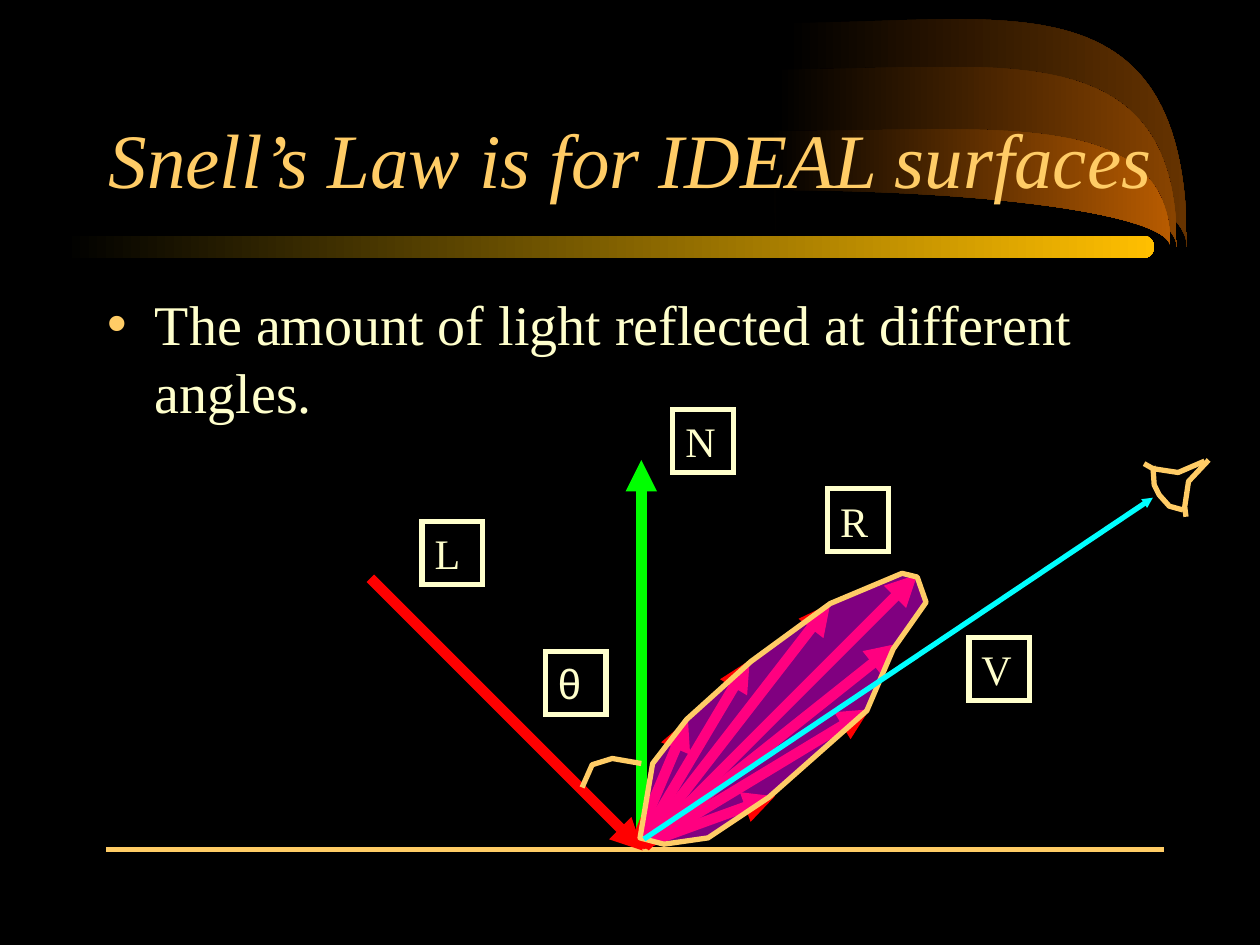
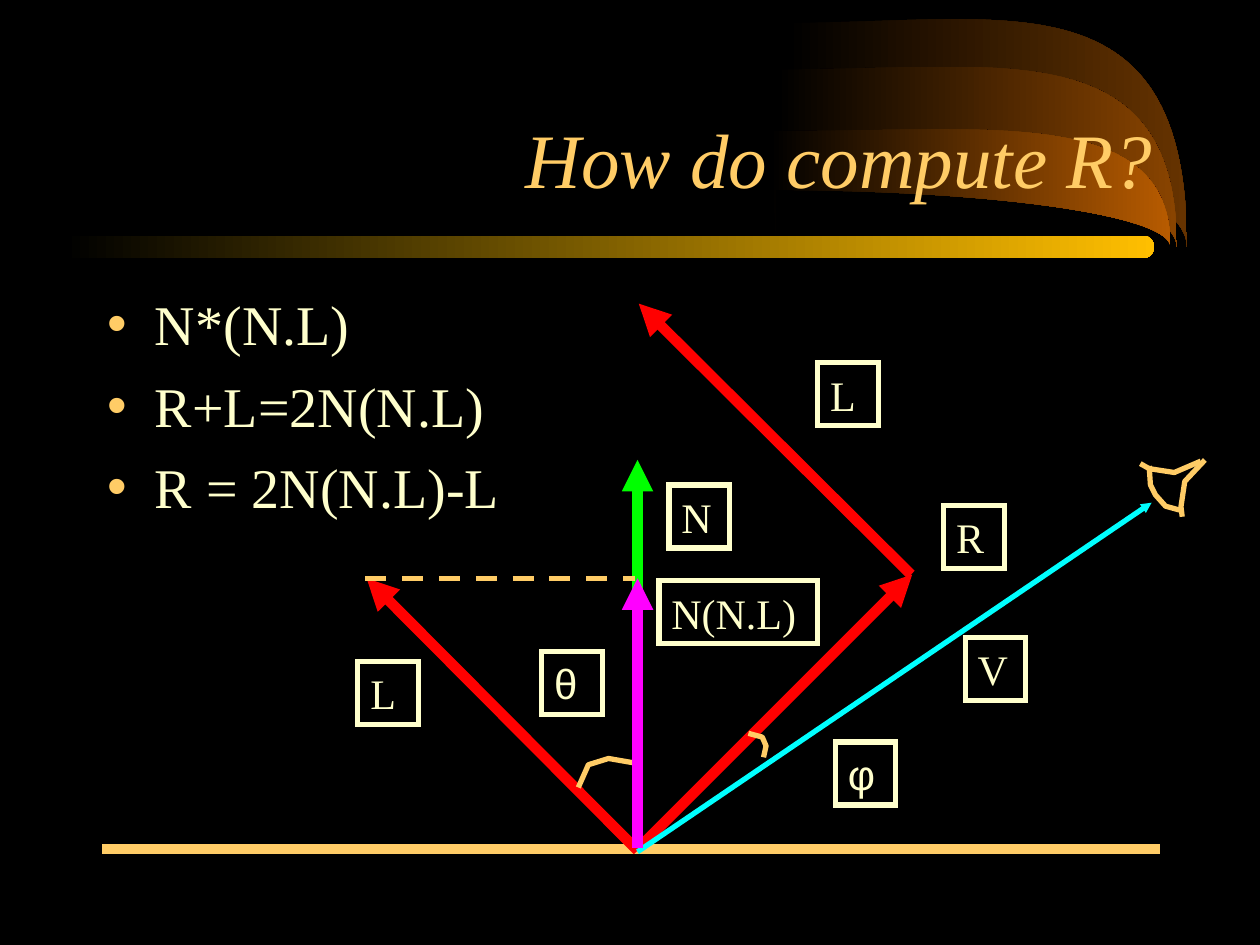
from dataclasses import dataclass
from math import cos, radians, sin

from pptx import Presentation
from pptx.dml.color import RGBColor
from pptx.enum.dml import MSO_LINE_DASH_STYLE as Dash
from pptx.enum.shapes import MSO_CONNECTOR as Connector, MSO_SHAPE as Preset
from pptx.enum.text import MSO_ANCHOR as Anchor, MSO_AUTO_SIZE as AutoSize, PP_ALIGN as Align
from pptx.oxml.ns import qn
from pptx.util import Pt
from lxml.etree import SubElement

PX = 9144


@dataclass(frozen=True)
class Theme:
    black: str = "000000"
    gold: str = "FFCC66"
    cream: str = "FFFFCC"
    band: str = "FFBF00"
    red: str = "FF0000"
    green: str = "00FF00"
    cyan: str = "00FFFF"
    magenta: str = "FF00FF"
    serif: str = "Times New Roman"
    sans: str = "Arial"
    title_pt: int = 44
    body_pt: int = 32
    label_pt: int = 24
    thin_pt: int = 3
    thick_pt: int = 6


T = Theme()

FLAPS = [
    (942, 18, 109, "663300"),
    (934, 55, 127, "894400"),
    (929, 104, 151, "B75B00"),
]
FLAP_TIP_Y = 196
BAND = (50, 187, 866, 18)
BODY = (75, 225, 850, 450)
LABEL_SIZE = (48, 50)

GROUND = ((84, 674), (924, 674))
THETA_ARC = [(462, 625), (470, 607), (486, 602), (509, 606)]
EYE_TILT = 144.6
EYE = [
    ((950, 388), [(959, 366), (943, 383), (940, 403), (941, 411)]),
    ((932, 367), [(956, 366), (935, 375), (915, 372), (908, 368)]),
    ((924, 390), [(940, 405), (929, 402), (921, 393), (917, 385), (916, 370)]),
]
SHARED_LABELS = [("V", 769, 506), ("θ", 433, 517)]

SLIDES = [
    {
        "title": "Snell’s Law is for IDEAL surfaces",
        "title_box": (31, 42, 894, 125),
        "bullets": ["The amount of light reflected at different angles."],
        "shift": 0,
        "ground_pt": T.thin_pt,
        "rays": [
            (T.green, (509, 673), (509, 365)),
            (T.red, (294, 459), (510, 675)),
            (T.red, (512, 672), (728, 456)),
            (T.red, (511, 671), (712, 511)),
            (T.red, (513, 670), (690, 563)),
            (T.red, (510, 670), (615, 632)),
            (T.red, (511, 670), (659, 479)),
            (T.red, (507, 672), (595, 524)),
            (T.red, (504, 670), (546, 571)),
        ],
        "lobes": [[
            (508, 665), (518, 606), (545, 571), (596, 525), (659, 479),
            (716, 455), (728, 458), (735, 478), (709, 515), (688, 564),
            (610, 633), (562, 665), (527, 670),
        ]],
        "view": ((511, 666), (915, 395)),
        "arcs": [],
        "labels": [("N", 534, 325), ("L", 335, 414), ("R", 657, 388)],
        "projection": [],
        "top_rays": [],
    },
    {
        "title": "How do compute R?",
        "title_box": (75, 42, 850, 125),
        "bullets": ["N*(N.L)", "R+L=2N(N.L)", "R = 2N(N.L)-L"],
        "shift": -3,
        "ground_pt": T.thick_pt,
        "rays": [
            (T.green, (506, 673), (506, 365)),
            (T.red, (506, 675), (291, 459)),
            (T.red, (508, 672), (724, 456)),
        ],
        "lobes": [],
        "view": ((506, 676), (914, 399)),
        "arcs": [[(594, 582), (605, 585), (608, 592), (606, 601)]],
        "labels": [
            ("N", 531, 385), ("L", 284, 525), ("R", 749, 401),
            ("N(N.L)", 523, 461), ("φ", 663, 589), ("L", 649, 288),
        ],
        "projection": [((290, 459), (504, 459))],
        "top_rays": [
            (T.red, (723, 456), (507, 241)),
            (T.magenta, (506, 673), (506, 459)),
        ],
    },
]


def rgb(color):
    return RGBColor.from_string(color)


def emu(*lengths):
    return [round(length * PX) for length in lengths]


def shifted(points, dx):
    return [(x + dx, y) for x, y in points]


def turned_back(points, center, degrees):
    cx, cy = center
    c, s = cos(radians(degrees)), sin(radians(degrees))
    return [
        (cx + (x - cx) * c + (y - cy) * s, cy - (x - cx) * s + (y - cy) * c)
        for x, y in points
    ]


def style_runs(paragraph, size, color, font, italic=False):
    for run in paragraph.runs:
        run.font.size = Pt(size)
        run.font.name = font
        run.font.italic = italic
        run.font.color.rgb = rgb(color)


def stroke(line, color, width):
    line.color.rgb = rgb(color)
    line.width = Pt(width)


def fade_from_black(shape, color):
    shape.shadow.inherit = False
    shape.line.fill.background()
    shape.fill.gradient()
    shape.fill.gradient_angle = 0
    for stop, tone in zip(shape.fill.gradient_stops, (T.black, color)):
        stop.color.rgb = rgb(tone)


def add_outline(shapes, points, closed=False):
    start, *rest = [emu(*point) for point in points]
    builder = shapes.build_freeform(*start, scale=1.0)
    builder.add_line_segments(rest, close=closed)
    outline = builder.convert_to_shape()
    outline.shadow.inherit = False
    return outline


def add_curve(shapes, points):
    curve = add_outline(shapes, points)
    curve.fill.background()
    stroke(curve.line, T.gold, T.thin_pt)
    return curve


def add_eye(slide, dx):
    eye = slide.shapes.add_group_shape()
    for center, points in EYE:
        curve = add_curve(eye.shapes, shifted(turned_back(points, center, EYE_TILT), dx))
        curve.rotation = EYE_TILT


def add_lobe(slide, points):
    lobe = add_outline(slide.shapes, points, closed=True)
    lobe.fill.solid()
    lobe.fill.fore_color.rgb = rgb(T.magenta)
    tint = lobe.element.spPr.find(qn("a:solidFill"))[0]
    SubElement(tint, qn("a:alpha"), val="50000")
    stroke(lobe.line, T.gold, T.thin_pt)


def add_segment(slide, color, start, end, width=T.thick_pt, arrow="med", dash=None):
    segment = slide.shapes.add_connector(Connector.STRAIGHT, *emu(*start, *end))
    stroke(segment.line, color, width)
    if dash:
        segment.line.dash_style = dash
    if arrow:
        outline = segment.element.spPr.find(qn("a:ln"))
        SubElement(outline, qn("a:tailEnd"), type="triangle", w=arrow, len=arrow)
    SubElement(segment.element.spPr, qn("a:effectLst"))


def add_label(slide, symbol, left, top):
    width, height = LABEL_SIZE
    if len(symbol) > 1:
        width = 126
    label = slide.shapes.add_shape(Preset.RECTANGLE, *emu(left, top, width, height))
    label.shadow.inherit = False
    label.fill.background()
    stroke(label.line, T.cream, T.thin_pt)
    SubElement(label.element.spPr.find(qn("a:ln")), qn("a:miter"), lim="800000")
    frame = label.text_frame
    frame.text = symbol
    frame.word_wrap = True
    frame.vertical_anchor = Anchor.TOP
    paragraph = frame.paragraphs[0]
    paragraph.alignment = Align.LEFT
    style_runs(paragraph, T.label_pt, T.cream, T.sans if symbol in "θφ" else T.serif)


def place(placeholder, box, anchor):
    placeholder.left, placeholder.top, placeholder.width, placeholder.height = emu(*box)
    frame = placeholder.text_frame
    frame.auto_size = AutoSize.NONE
    frame.word_wrap = True
    frame.vertical_anchor = anchor
    return frame


def fill_title(slide, text, box):
    frame = place(slide.shapes.title, box, Anchor.BOTTOM)
    frame.text = text
    frame.paragraphs[0].alignment = Align.RIGHT
    style_runs(frame.paragraphs[0], T.title_pt, T.gold, T.serif, italic=True)


def fill_bullets(slide, bullets):
    frame = place(slide.placeholders[1], BODY, Anchor.TOP)
    frame.text = "\n".join(bullets)
    for paragraph in frame.paragraphs:
        paragraph.space_before = Pt(8)
        style_runs(paragraph, T.body_pt, T.cream, T.serif)
        props = paragraph._p.get_or_add_pPr()
        indent = 38 * PX
        props.set("marL", str(indent))
        props.set("indent", str(-indent))
        bullet_color = SubElement(props, qn("a:buClr"))
        SubElement(bullet_color, qn("a:srgbClr"), val=T.gold)
        SubElement(props, qn("a:buChar"), char="•")


def add_flap(slide, right, upper, lower, color):
    left, bend = right - 313, right - 140
    drop = FLAP_TIP_Y - lower
    box = (left - 5, lower, 318, 2 * drop)
    tip = (right, FLAP_TIP_Y)
    inner = (right, lower + 0.45 * drop)
    outer = (right, upper - 0.22 * (FLAP_TIP_Y - upper))
    strokes = [
        ("moveTo", [(left, lower)]),
        ("cubicBezTo", [(bend, lower), inner, tip]),
        ("cubicBezTo", [outer, (bend, upper), (left, upper)]),
        ("lnTo", [(left - 5, upper)]),
        ("lnTo", [(left, FLAP_TIP_Y)]),
        ("close", []),
    ]
    flap = slide.shapes.add_shape(Preset.RECTANGLE, *emu(*box))
    props = flap.element.spPr
    geometry = SubElement(props, qn("a:custGeom"))
    props.replace(props.find(qn("a:prstGeom")), geometry)
    width, height = emu(*box[2:])
    contours = SubElement(geometry, qn("a:pathLst"))
    contour = SubElement(contours, qn("a:path"), w=str(width), h=str(height))
    for command, points in strokes:
        step = SubElement(contour, qn(f"a:{command}"))
        for x, y in points:
            dx, dy = emu(x - box[0], y - box[1])
            SubElement(step, qn("a:pt"), x=str(dx), y=str(dy))
    fade_from_black(flap, color)
    return flap


def decorate_layout(layout, slide):
    decorations = [add_flap(slide, *flap) for flap in FLAPS]
    band = slide.shapes.add_shape(Preset.ROUNDED_RECTANGLE, *emu(*BAND))
    band.adjustments[0] = 0.5
    fade_from_black(band, T.band)
    for position, decoration in enumerate(decorations + [band], start=2):
        layout.shapes.element.insert(position, decoration.element)


def draw_scene(slide, scene):
    dx = scene["shift"]
    add_segment(slide, T.gold, *shifted(GROUND, dx), width=scene["ground_pt"], arrow=None)
    for ray in scene["rays"]:
        add_segment(slide, *ray)
    for lobe in scene["lobes"]:
        add_lobe(slide, lobe)
    shared = [(symbol, left + dx, top) for symbol, left, top in SHARED_LABELS]
    for label in scene["labels"] + shared:
        add_label(slide, *label)
    add_segment(slide, T.cyan, *scene["view"], width=T.thin_pt, arrow="sm")
    add_eye(slide, dx)
    for arc in [shifted(THETA_ARC, dx)] + scene["arcs"]:
        add_curve(slide.shapes, arc)
    for ends in scene["projection"]:
        add_segment(slide, T.gold, *ends, width=T.thin_pt, arrow=None, dash=Dash.DASH)
    for ray in scene["top_rays"]:
        add_segment(slide, *ray)


def main():
    deck = Presentation()
    deck.slide_width, deck.slide_height = emu(1000, 750)
    backdrop = deck.slide_master.background.fill
    backdrop.solid()
    backdrop.fore_color.rgb = rgb(T.black)
    layout = deck.slide_layouts[1]
    for number, scene in enumerate(SLIDES):
        slide = deck.slides.add_slide(layout)
        if number == 0:
            decorate_layout(layout, slide)
        fill_title(slide, scene["title"], scene["title_box"])
        fill_bullets(slide, scene["bullets"])
        draw_scene(slide, scene)
    deck.save("out.pptx")


if __name__ == "__main__":
    main()
